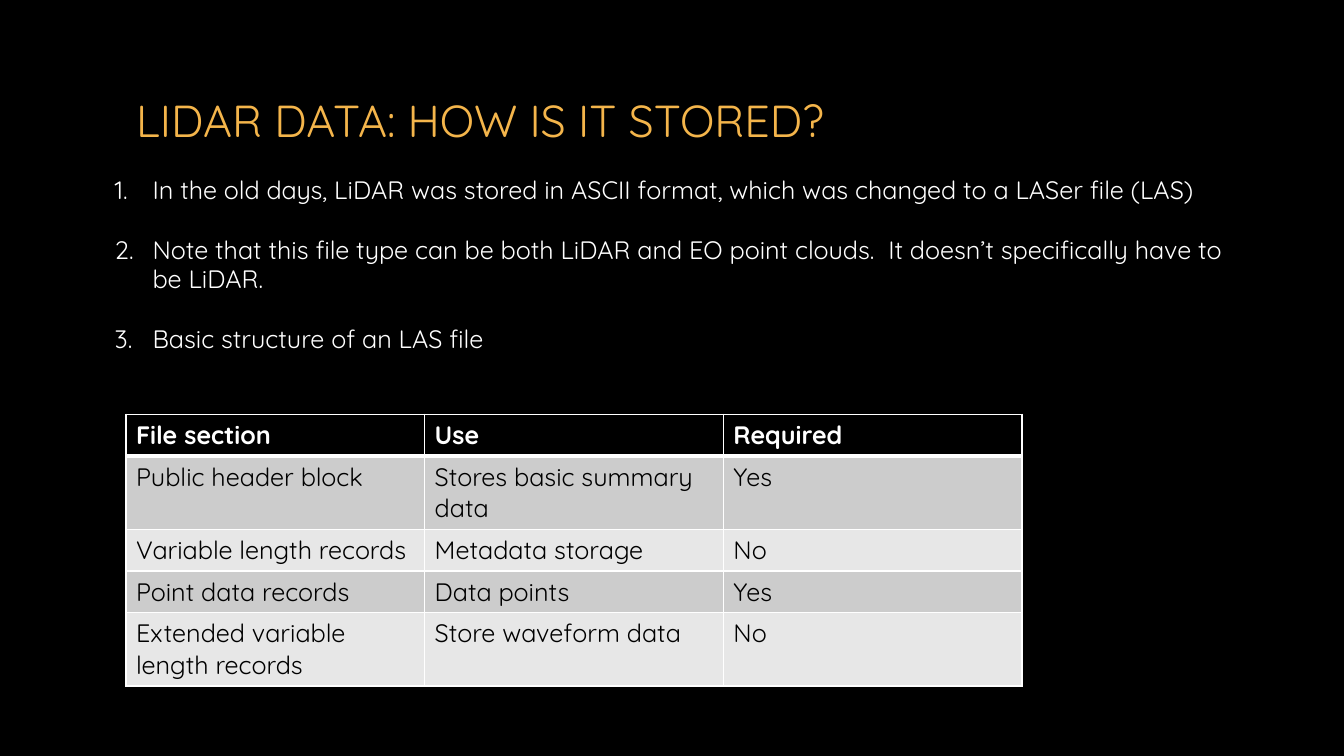
from dataclasses import dataclass

from lxml import etree
from pptx import Presentation
from pptx.dml.color import RGBColor
from pptx.enum.text import MSO_ANCHOR, MSO_AUTO_SIZE, PP_ALIGN
from pptx.oxml.ns import qn
from pptx.slide import Slide
from pptx.table import _Cell
from pptx.text.text import TextFrame
from pptx.util import Pt

MIDDLE = MSO_ANCHOR.MIDDLE
TOP = MSO_ANCHOR.TOP
NO_AUTOSIZE = MSO_AUTO_SIZE.NONE
LEFT = PP_ALIGN.LEFT
TITLE_ONLY = 5

FONT = "Quicksand"
BODY_SIZE = 18
COLOURS = {
    "background": "000000",
    "title": "F4B54B",
    "light": "FFFFFF",
    "dark": "000000",
    "odd_row": "CCCCCC",
    "even_row": "E7E7E7",
}


@dataclass(frozen=True)
class Box:
    left: float
    top: float
    width: float
    height: float


@dataclass(frozen=True)
class FileSection:
    name: str
    use: str
    required: str


TITLE_BOX = Box(90, 48.24, 780, 74.88)
LIST_BOX = Box(74.88, 122.4, 810.72, 203.76)
TABLE_BOX = Box(90, 295.92, 640.08, 147.5)

POINTS = [
    "In the old days, LiDAR was stored in ASCII format, which was changed to a LASer file (LAS)",
    "Note that this file type can be both LiDAR and EO point clouds.  It doesn’t specifically have to be LiDAR.",
    "Basic structure of an LAS file",
]
SECTIONS = [
    FileSection("File section", "Use", "Required"),
    FileSection("Public header block", "Stores basic summary data", "Yes"),
    FileSection("Variable length records", "Metadata storage", "No"),
    FileSection("Point data records", "Data points", "Yes"),
    FileSection("Extended variable length records", "Store waveform data", "No"),
]


def colour(name: str) -> RGBColor:
    return RGBColor.from_string(COLOURS[name])


def format_text(text_frame: TextFrame, size: float, colour_name: str, bold: bool = False) -> None:
    for paragraph in text_frame.paragraphs:
        paragraph.alignment = LEFT
        for run in paragraph.runs:
            run.font.name = FONT
            run.font.size = Pt(size)
            run.font.bold = bold
            run.font.color.rgb = colour(colour_name)


def add_title(slide: Slide, box: Box) -> None:
    title = slide.shapes.title
    title.left, title.top = Pt(box.left), Pt(box.top)
    title.width, title.height = Pt(box.width), Pt(box.height)
    text_frame = title.text_frame
    text_frame.text = "LIDAR DATA: HOW IS IT STORED?"
    text_frame.vertical_anchor = MIDDLE
    text_frame.auto_size = NO_AUTOSIZE
    format_text(text_frame, 32, "title")


def add_numbered_list(slide: Slide, box: Box, points: list[str]) -> None:
    shape = slide.shapes.add_textbox(Pt(box.left), Pt(box.top), Pt(box.width), Pt(box.height))
    text_frame = shape.text_frame
    text_frame.word_wrap = True
    text_frame.auto_size = NO_AUTOSIZE
    text_frame.vertical_anchor = TOP
    text_frame.text = "\n".join(points)
    format_text(text_frame, BODY_SIZE, "light")
    for paragraph in text_frame.paragraphs:
        paragraph.line_spacing = 0.97
        paragraph.space_after = Pt(21.8)
        properties = paragraph._p.get_or_add_pPr()
        properties.set("marL", str(Pt(27)))
        properties.set("indent", str(Pt(-27)))
        etree.SubElement(properties, qn("a:buFont"), typeface=FONT)
        etree.SubElement(properties, qn("a:buAutoNum"), type="arabicPeriod")


def set_borders(cell: _Cell, widths: dict[str, float]) -> None:
    properties = cell._tc.get_or_add_tcPr()
    for position, (side, width) in enumerate(widths.items()):
        line = etree.Element(qn(f"a:{side}"), w=str(Pt(width)))
        fill = etree.SubElement(line, qn("a:solidFill"))
        etree.SubElement(fill, qn("a:srgbClr"), val=COLOURS["light"])
        properties.insert(position, line)


def add_section_table(slide: Slide, box: Box, sections: list[FileSection]) -> None:
    frame = slide.shapes.add_table(
        len(sections), 3, Pt(box.left), Pt(box.top), Pt(box.width), Pt(box.height)
    )
    table = frame.table
    table.horz_banding = False
    for row, section in enumerate(sections):
        is_header = row == 0
        fill_name = "background" if is_header else "odd_row" if row % 2 else "even_row"
        top_width = 3 if row == 1 else 1
        bottom_width = 3 if is_header else 1
        for column, text in enumerate((section.name, section.use, section.required)):
            cell = table.cell(row, column)
            cell.text_frame.text = text
            format_text(cell.text_frame, BODY_SIZE, "light" if is_header else "dark", is_header)
            cell.fill.solid()
            cell.fill.fore_color.rgb = colour(fill_name)
            set_borders(cell, {"lnL": 1, "lnR": 1, "lnT": top_width, "lnB": bottom_width})


def main() -> None:
    presentation = Presentation()
    presentation.slide_width = Pt(960)
    presentation.slide_height = Pt(540)
    slide = presentation.slides.add_slide(presentation.slide_layouts[TITLE_ONLY])
    slide.background.fill.solid()
    slide.background.fill.fore_color.rgb = colour("background")
    add_title(slide, TITLE_BOX)
    add_numbered_list(slide, LIST_BOX, POINTS)
    add_section_table(slide, TABLE_BOX, SECTIONS)
    presentation.save("out.pptx")


if __name__ == "__main__":
    main()
